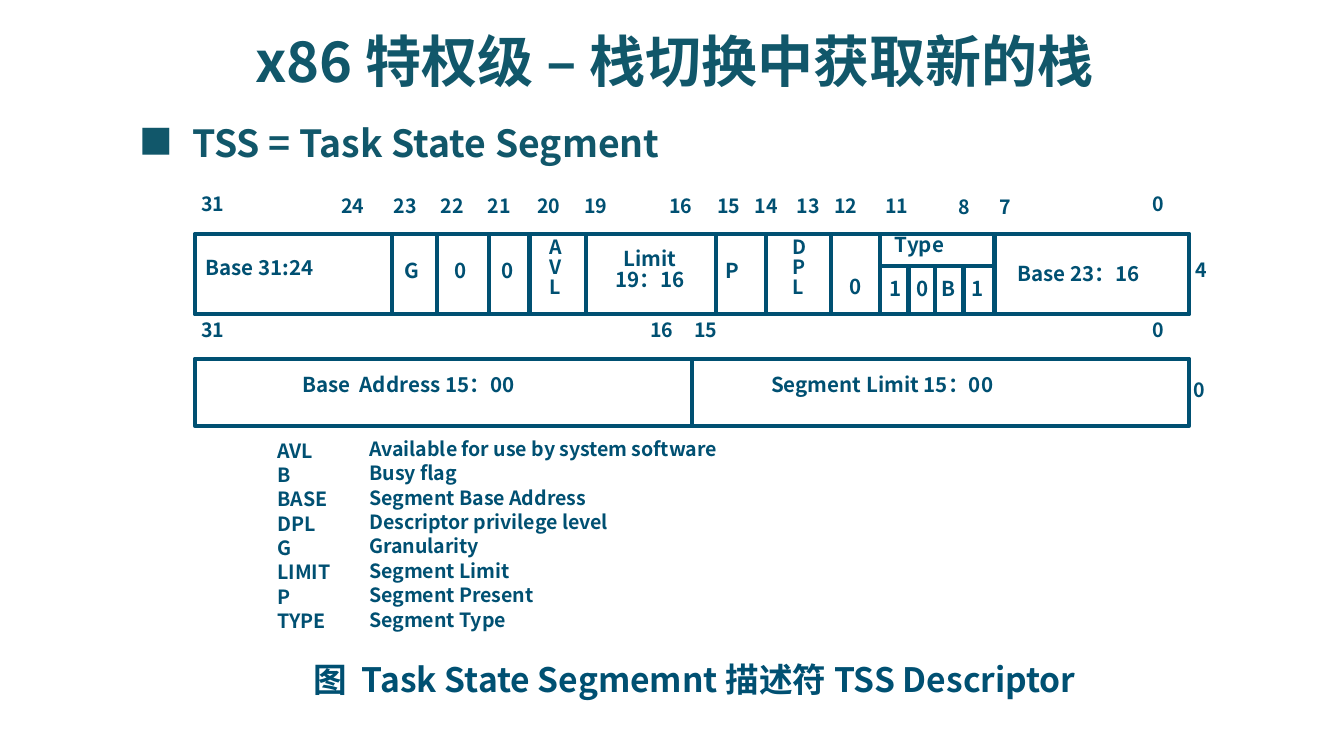
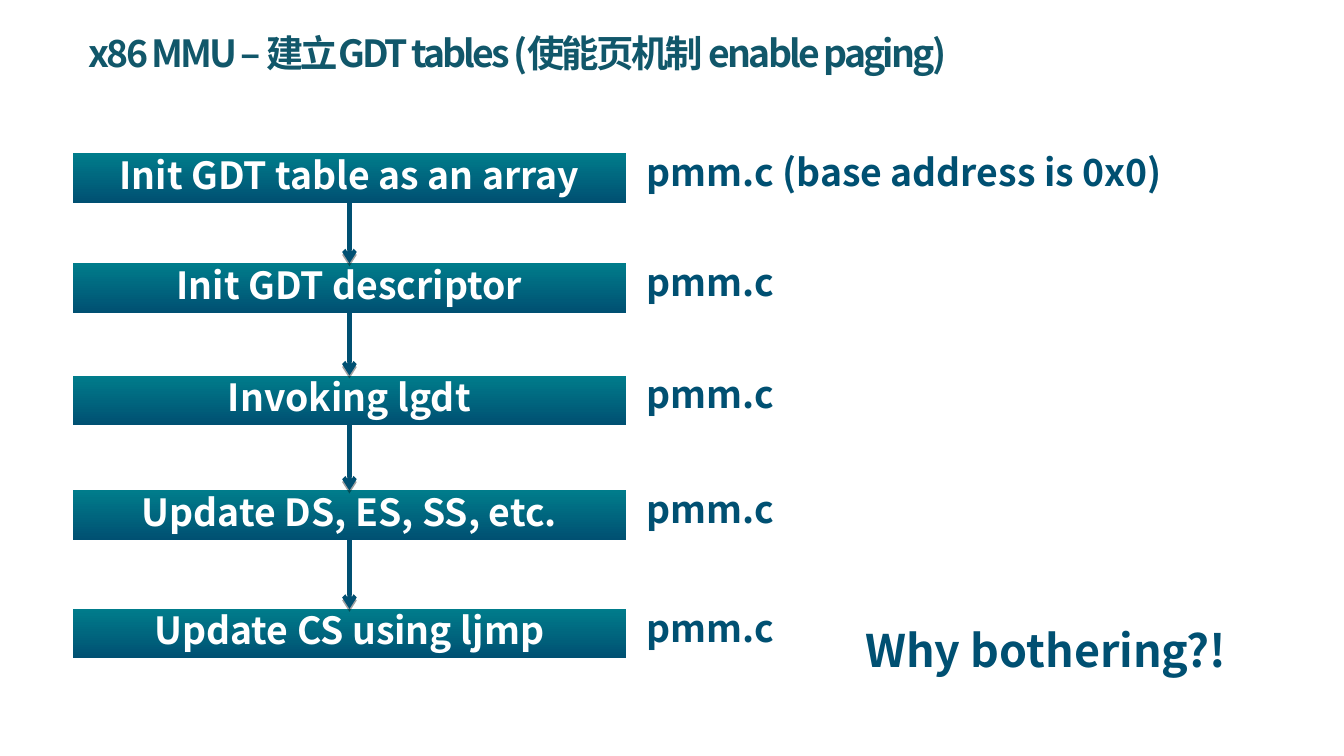
from typing import NamedTuple, Optional

from lxml.etree import SubElement
from pptx import Presentation
from pptx.dml.color import RGBColor
from pptx.enum.shapes import MSO_CONNECTOR as Connector, MSO_SHAPE as Preset
from pptx.enum.text import MSO_ANCHOR as Anchor, MSO_AUTO_SIZE as AutoSize, PP_ALIGN as Align
from pptx.oxml.ns import qn
from pptx.util import Pt

FONT = "Noto Sans CJK SC"
SYMBOL_FONT = "Noto Sans CJK JP"
HEADING = "11576A"
NAVY = "005072"
TEAL = "007C8B"
WHITE = "FFFFFF"
LINE_SPACING = 0.84
LINE_WIDTH = 2.25


class Label(NamedTuple):
    text: str
    left: float
    top: float
    width: float = 42
    height: float = 20
    size: float = 10.5
    color: str = NAVY
    align: Align = Align.LEFT
    wrap: bool = True
    font: str = FONT


class Step(NamedTuple):
    text: str
    source: str
    top: float


class Rule(NamedTuple):
    x1: float
    y1: float
    x2: float
    y2: float


def rgb(color: str) -> RGBColor:
    return RGBColor.from_string(color)


def format_text(shape, label: Label, spacing: Optional[float] = None) -> None:
    frame = shape.text_frame
    frame.text = label.text
    frame.word_wrap = label.wrap
    for para in frame.paragraphs:
        para.alignment = label.align
        para.line_spacing = LINE_SPACING
        para.space_before = Pt(0)
        for span in para.runs:
            span.font.name = label.font
            span.font.size = Pt(label.size)
            span.font.bold = True
            span.font.color.rgb = rgb(label.color)
            properties = span._r.get_or_add_rPr()
            east_asian = SubElement(properties, qn("a:ea"), typeface=label.font)
            properties.find(qn("a:latin")).addnext(east_asian)
            if spacing is not None:
                properties.set("spc", str(round(spacing * 100)))


def add_title(page, label: Label, spacing: Optional[float] = None) -> None:
    title = page.shapes.title
    title.left, title.top = Pt(label.left), Pt(label.top)
    title.width, title.height = Pt(label.width), Pt(label.height)
    format_text(title, label, spacing)
    title.text_frame.vertical_anchor = Anchor.TOP
    title.text_frame.auto_size = AutoSize.SHAPE_TO_FIT_TEXT


def add_label(page, label: Label) -> None:
    box = page.shapes.add_textbox(
        Pt(label.left), Pt(label.top), Pt(label.width), Pt(label.height))
    format_text(box, label)
    box.text_frame.auto_size = AutoSize.SHAPE_TO_FIT_TEXT


def add_rule(page, rule: Rule, arrow: bool = False) -> None:
    connector = page.shapes.add_connector(
        Connector.STRAIGHT, Pt(rule.x1), Pt(rule.y1), Pt(rule.x2), Pt(rule.y2))
    connector.line.color.rgb = rgb(NAVY)
    connector.line.width = Pt(LINE_WIDTH)
    properties = connector._element.spPr
    effects = SubElement(properties, qn("a:effectLst"))
    if arrow:
        SubElement(properties.find(qn("a:ln")), qn("a:tailEnd"), type="arrow")
        shadow = SubElement(effects, qn("a:outerShdw"), blurRad="0",
                            dist=str(Pt(1.6)), dir="5400000", rotWithShape="0")
        black = SubElement(shadow, qn("a:srgbClr"), val="000000")
        SubElement(black, qn("a:alpha"), val="36000")


def add_register(page, top: float, height: float, dividers: list[float]) -> None:
    frame = page.shapes.add_shape(
        Preset.RECTANGLE, Pt(REGISTER_LEFT), Pt(top), Pt(REGISTER_WIDTH), Pt(height))
    frame.shadow.inherit = False
    frame.fill.background()
    frame.line.color.rgb = rgb(NAVY)
    frame.line.width = Pt(LINE_WIDTH)
    for x in dividers:
        add_rule(page, Rule(x, top, x, top + height))


def add_process(page, step: Step) -> None:
    box = page.shapes.add_shape(
        Preset.FLOWCHART_PROCESS, Pt(STEP_LEFT), Pt(step.top), Pt(STEP_WIDTH), Pt(STEP_HEIGHT))
    box.shadow.inherit = False
    box.line.fill.background()
    box.fill.gradient()
    box.fill.gradient_angle = 270
    for stop, color in zip(box.fill.gradient_stops, (TEAL, NAVY)):
        stop.color.rgb = rgb(color)
    format_text(box, Label(step.text, STEP_LEFT, step.top, size=20, color=WHITE,
                           align=Align.CENTER))
    frame = box.text_frame
    frame.vertical_anchor = Anchor.MIDDLE
    frame.margin_top = frame.margin_bottom = Pt(0)


REGISTER_LEFT, REGISTER_WIDTH = 104.4, 532.8
HIGH_TOP, HIGH_HEIGHT = 125.3, 43.2
LOW_TOP, LOW_HEIGHT = 192.2, 36
HIGH_DIVIDERS = [210, 234, 262, 283.7, 314, 383.8, 410.4, 445, 471.6, 532.8]
LOW_DIVIDERS = [370.8]
TYPE_TOP = 142.6
TYPE_DIVIDERS = [486.7, 501.1, 516.2]

HIGH_BITS = [
    ("24", 175.7), ("23", 203.8), ("22", 229), ("21", 254.2), ("20", 280.8),
    ("19", 306), ("16", 351.4), ("15", 377.3), ("14", 397.4), ("13", 419.8),
    ("12", 440), ("11", 467.3),
]
LOW_BITS = [("31", 100.8), ("16", 341.3), ("15", 365), ("0", 610.6)]
TYPE_BITS = [("1", 469.4), ("0", 483.8), ("B", 497.5), ("1", 513.4)]
FLAGS = [("G", 209.5), ("0", 236.2), ("0", 261.4), ("P", 381.6)]

FIELDS = [
    Label("31", 100.8, 101.5),
    Label("8", 506.2, 103),
    Label("7", 528.5, 103),
    Label("0", 610.6, 101.5),
    Label("4", 633.6, 136.8),
    Label("0", 632.2, 200.9),
    Label("A\nV\nL", 287.3, 124.6, 32, 45.4),
    Label("D\nP\nL", 417.6, 124.6, 35, 45.4),
    Label("Base 31:24", 103, 135.4, 115, size=11),
    Label("Limit\n19:16".replace(":", "\uff1a"), 304.6, 130.3, 87, 33.8, 11, align=Align.CENTER),
    Label("Type", 472.3, 123.1, 122, size=11),
    Label("0", 447.8, 145.4, size=11),
    Label("Base 23：16", 537.8, 138.2, 131, size=11),
    Label("Base  Address 15：00", 154.8, 198, 215, size=11),
    Label("Segment Limit 15：00", 406, 198, 220, size=11),
]

LEGEND = [
    ("AVL", "Available for use by system software"),
    ("B", "Busy flag"),
    ("BASE", "Segment Base Address"),
    ("DPL", "Descriptor privilege level"),
    ("G", "Granularity"),
    ("LIMIT", "Segment Limit"),
    ("P", "Segment Present"),
    ("TYPE", "Segment Type"),
]
LEGEND_TOP, LEGEND_PITCH = 232.6, 13.05

STEP_LEFT, STEP_WIDTH, STEP_HEIGHT = 38.9, 296.6, 26.6
STEPS = [
    Step("Init GDT table as an array", "pmm.c (base address is 0x0)", 82.1),
    Step("Init GDT descriptor", "pmm.c", 141.1),
    Step("Invoking lgdt", "pmm.c", 201.2),
    Step("Update DS, ES, SS, etc.", "pmm.c", 262.8),
    Step("Update CS using ljmp", "pmm.c", 326.2),
]


def build_descriptor(page) -> None:
    add_title(page, Label("x86 特权级 – 栈切换中获取新的栈", 129.6, 16.6, 550, 41.8, 30, HEADING))
    add_label(page, Label("TSS = Task State Segment", 95.8, 64.8, 349, 32.4, 20, HEADING))
    add_label(page, Label("■", 67.7, 64.8, 32.4, 28.8, 18, HEADING, wrap=False, font=SYMBOL_FONT))

    add_register(page, HIGH_TOP, HIGH_HEIGHT, HIGH_DIVIDERS)
    add_register(page, LOW_TOP, LOW_HEIGHT, LOW_DIVIDERS)
    add_rule(page, Rule(471.6, TYPE_TOP, 532.8, TYPE_TOP))
    for x in TYPE_DIVIDERS:
        add_rule(page, Rule(x, TYPE_TOP, x, HIGH_TOP + HIGH_HEIGHT))

    for bits, top, size in (
        (HIGH_BITS, 102.2, 10.5),
        (LOW_BITS, 168.8, 10.5),
        (TYPE_BITS, 146.2, 11),
        (FLAGS, 136.8, 11),
    ):
        for text, left in bits:
            add_label(page, Label(text, left, top, size=size))
    for field in FIELDS:
        add_label(page, field)

    for row, (key, meaning) in enumerate(LEGEND):
        top = LEGEND_TOP + row * LEGEND_PITCH
        add_label(page, Label(key, 141.5, top + 0.8, 60))
        add_label(page, Label(meaning, 190.8, top, 306))
    add_label(page, Label("图  Task State Segmemnt 描述符 TSS Descriptor",
                          160.6, 352.8, 468.7, 28.8, 18))


def build_flow(page) -> None:
    add_title(page, Label("x86 MMU – 建立GDT tables (使能页机制 enable paging)",
                          40.3, 16.6, 677.5, 32.4, 20, HEADING), spacing=-1.5)
    for step in STEPS:
        add_process(page, step)
        width = 301.7 if "(" in step.source else 84.2
        add_label(page, Label(step.source, 339.1, step.top - 1.8, width, 31.7, 20, wrap=False))
    middle = STEP_LEFT + STEP_WIDTH / 2
    for upper, lower in zip(STEPS, STEPS[1:]):
        add_rule(page, Rule(middle, upper.top + STEP_HEIGHT, middle, lower.top), arrow=True)
    add_label(page, Label("Why bothering?!", 456.5, 334.8, 218.9, 36, 24, wrap=False))


deck = Presentation()
deck.slide_width, deck.slide_height = Pt(720), Pt(405)
title_only = deck.slide_layouts[5]
for build in (build_descriptor, build_flow):
    build(deck.slides.add_slide(title_only))
deck.save("out.pptx")
